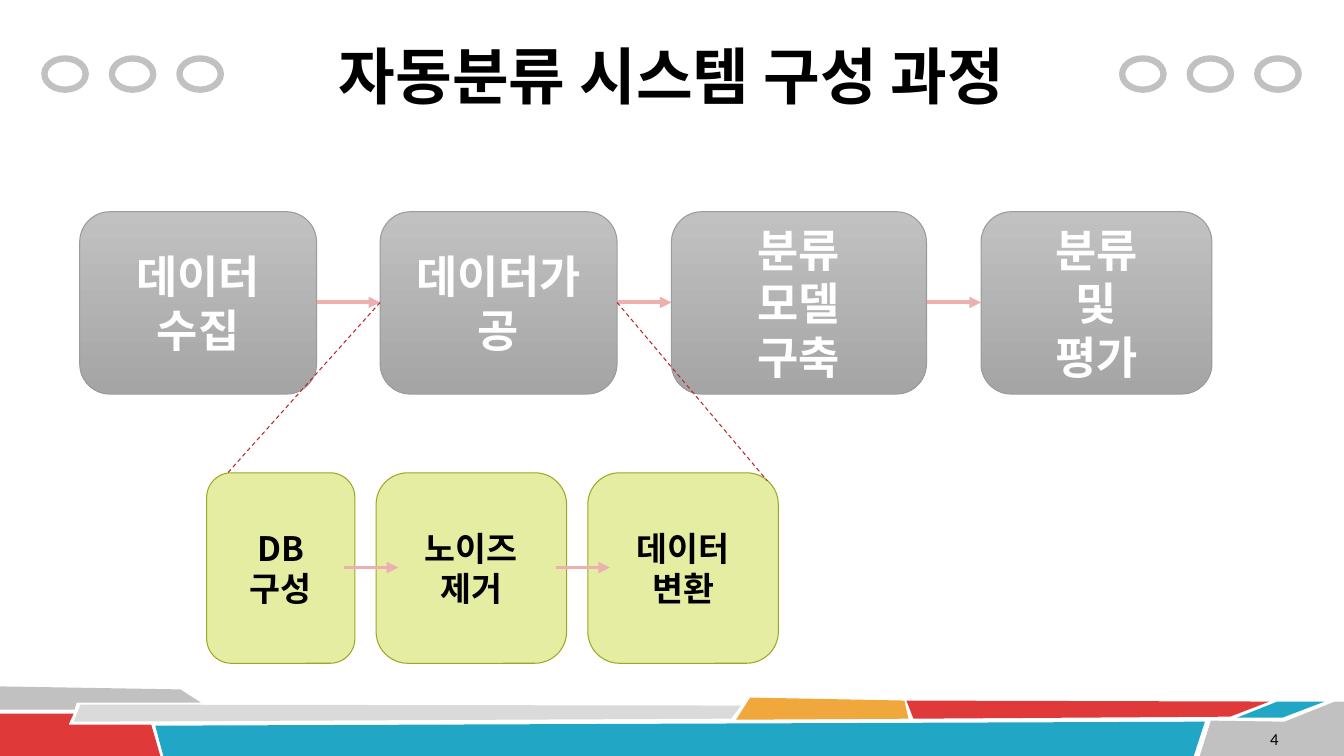
import itertools
from dataclasses import dataclass

import lxml.etree
import pptx
import pptx.dml.color
import pptx.enum.dml
import pptx.enum.shapes
import pptx.enum.text
import pptx.oxml.ns
import pptx.slide
import pptx.util

SCALE = 9144
Shape = pptx.enum.shapes.MSO_SHAPE
Align = pptx.enum.text.PP_ALIGN
Point = tuple[int, int]


@dataclass(frozen=True)
class Theme:
    white: str = "FFFFFF"
    black: str = "000000"
    gray: str = "C1C1C1"
    pale: str = "DADADA"
    steel: str = "A5A5A5"
    edge: str = "9B9B9B"
    red: str = "DF3939"
    teal: str = "21A6C5"
    gold: str = "F0A73C"
    lime: str = "E5EDA2"
    olive: str = "9DA725"
    pink: str = "ECB0B0"
    dark: str = "B92727"
    latin: str = "Calibri"
    hangul: str = "Noto Sans CJK KR"
    title: int = 44
    stage: int = 32
    step: int = 24
    page: int = 12
    thin: float = 0.75
    arrow: float = 2.75
    ring: float = 4.5


THEME = Theme()


@dataclass(frozen=True)
class Band:
    color: str
    points: tuple[Point, ...]


@dataclass(frozen=True)
class Box:
    left: int
    top: int
    width: int
    height: int
    text: str

    @property
    def right(self) -> int:
        return self.left + self.width

    @property
    def middle(self) -> int:
        return self.top + self.height // 2


@dataclass(frozen=True)
class Style:
    fills: tuple[str, ...]
    line: str
    ink: str
    size: int


BANDS = (
    Band(THEME.gray, ((0, 681), (179, 684), (199, 697), (76, 697), (74, 704), (0, 704))),
    Band(THEME.red, ((0, 708), (73, 708), (68, 719), (150, 719), (159, 750), (0, 750))),
    Band(THEME.pale, ((80, 699), (735, 700), (725, 713), (73, 716))),
    Band(THEME.teal, ((154, 720), (1195, 716), (1184, 750), (162, 750))),
    Band(THEME.gold, ((744, 692), (897, 695), (901, 713), (730, 714))),
    Band(THEME.red, ((899, 695), (1259, 696), (1220, 711), (906, 713))),
    Band(THEME.teal, ((1267, 696), (1314, 696), (1272, 712), (1227, 712))),
    Band(THEME.gray, ((1201, 715), (1274, 716), (1324, 696), (1333, 696), (1333, 750), (1190, 750))),
)
STAGES = (
    Box(79, 210, 235, 181, "데이터\n수집"),
    Box(377, 210, 235, 181, "데이터가공"),
    Box(666, 210, 253, 181, "분류\n모델\n구축"),
    Box(973, 210, 229, 181, "분류\n및\n평가"),
)
STEPS = (
    Box(205, 469, 147, 189, "DB\n구성"),
    Box(373, 469, 189, 189, "노이즈\n제거"),
    Box(583, 469, 189, 189, "데이터\n변환"),
)
STAGE = Style((THEME.gray, THEME.steel), THEME.edge, THEME.white, THEME.stage)
STEP = Style((THEME.lime,), THEME.olive, THEME.black, THEME.step)


def px(*values: int) -> list[pptx.util.Emu]:
    return [pptx.util.Emu(value * SCALE) for value in values]


def rgb(color: str) -> pptx.dml.color.RGBColor:
    return pptx.dml.color.RGBColor.from_string(color)


def write(frame, text: str, size: int, face: str, ink: str, align: Align, bold: bool) -> None:
    frame.text = text
    frame.word_wrap = True
    frame.vertical_anchor = pptx.enum.text.MSO_ANCHOR.MIDDLE
    for line in frame.paragraphs:
        line.alignment = align
        line.font.name = face
        line.font.size = pptx.util.Pt(size)
        line.font.bold = bold
        line.font.color.rgb = rgb(ink)


def draw_band(slide: pptx.slide.Slide, band: Band) -> None:
    first, *rest = band.points
    pen = slide.shapes.build_freeform(*first, scale=SCALE)
    pen.add_line_segments(rest, close=True)
    shape = pen.convert_to_shape()
    shape.shadow.inherit = False
    shape.fill.solid()
    shape.fill.fore_color.rgb = rgb(band.color)
    shape.line.fill.background()


def draw_ring(slide: pptx.slide.Slide, left: int) -> None:
    ring = slide.shapes.add_shape(Shape.OVAL, *px(left, 58, 41, 31))
    ring.shadow.inherit = False
    ring.fill.background()
    ring.line.color.rgb = rgb(THEME.gray)
    ring.line.width = pptx.util.Pt(THEME.ring)


def draw_box(slide: pptx.slide.Slide, box: Box, style: Style) -> None:
    place = px(box.left, box.top, box.width, box.height)
    shape = slide.shapes.add_shape(Shape.ROUNDED_RECTANGLE, *place)
    shape.shadow.inherit = False
    if len(style.fills) > 1:
        shape.fill.gradient()
        shape.fill.gradient_angle = 270
        for stop, color in zip(shape.fill.gradient_stops, style.fills):
            stop.color.rgb = rgb(color)
    else:
        shape.fill.solid()
        shape.fill.fore_color.rgb = rgb(style.fills[0])
    shape.line.color.rgb = rgb(style.line)
    shape.line.width = pptx.util.Pt(THEME.thin)
    write(shape.text_frame, box.text, style.size, THEME.hangul, style.ink, Align.CENTER, True)


def draw_link(slide: pptx.slide.Slide, start: Point, end: Point, arrow: bool) -> None:
    kind = pptx.enum.shapes.MSO_CONNECTOR.STRAIGHT
    link = slide.shapes.add_connector(kind, *px(*start, *end))
    link.line.color.rgb = rgb(THEME.pink if arrow else THEME.dark)
    link.line.width = pptx.util.Pt(THEME.arrow if arrow else THEME.thin)
    if arrow:
        tail = pptx.oxml.ns.qn("a:tailEnd")
        lxml.etree.SubElement(link.line._get_or_add_ln(), tail, type="triangle")
    else:
        link.line.dash_style = pptx.enum.dml.MSO_LINE.DASH
    lxml.etree.SubElement(link._element.spPr, pptx.oxml.ns.qn("a:effectLst"))


def draw_flow(slide: pptx.slide.Slide, boxes: tuple[Box, ...], style: Style, back: int, over: int) -> None:
    for box in boxes:
        draw_box(slide, box, style)
    for box, after in itertools.pairwise(boxes):
        draw_link(slide, (box.right - back, box.middle), (after.left + over, box.middle), True)


def main() -> None:
    deck = pptx.Presentation()
    deck.slide_width, deck.slide_height = px(1333, 750)
    slide = deck.slides.add_slide(deck.slide_layouts[5])
    for band in BANDS:
        draw_band(slide, band)
    for start, index in itertools.product((44, 1113), range(3)):
        draw_ring(slide, start + 67 * index)

    title = slide.shapes.title
    title.left, title.top, title.width, title.height = px(233, 12, 867, 125)
    write(title.text_frame, "자동분류 시스템 구성 과정", THEME.title, THEME.latin, THEME.black, Align.CENTER, True)
    page = slide.shapes.add_textbox(*px(1211, 720, 67, 25))
    write(page.text_frame, "4", THEME.page, THEME.latin, THEME.black, Align.RIGHT, False)

    draw_flow(slide, STAGES, STAGE, 0, 0)
    draw_flow(slide, STEPS, STEP, 11, 22)
    source = STAGES[1]
    draw_link(slide, (source.left, source.middle), (226, 469), False)
    draw_link(slide, (source.right, source.middle), (761, 477), False)
    deck.save("out.pptx")


if __name__ == "__main__":
    main()
